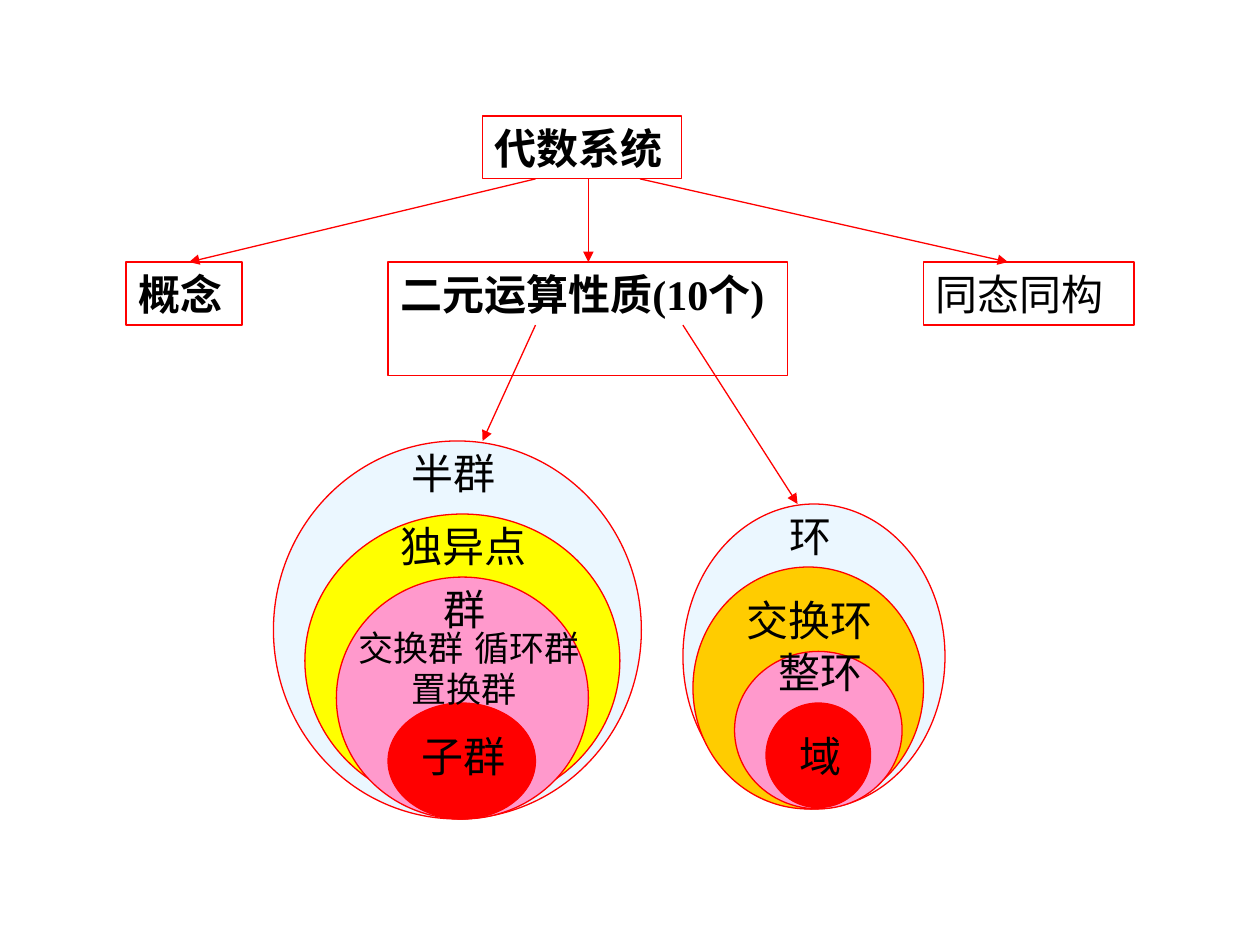
from lxml import etree
from pptx import Presentation
from pptx.dml.color import RGBColor
from pptx.enum.shapes import MSO_CONNECTOR, MSO_SHAPE
from pptx.enum.text import MSO_ANCHOR, MSO_AUTO_SIZE, PP_ALIGN
from pptx.oxml.ns import qn
from pptx.util import Inches, Pt

OVAL, RECT = MSO_SHAPE.OVAL, MSO_SHAPE.RECTANGLE
STRAIGHT = MSO_CONNECTOR.STRAIGHT
TOP, LEFT = MSO_ANCHOR.TOP, PP_ALIGN.LEFT
GROW = MSO_AUTO_SIZE.SHAPE_TO_FIT_TEXT
RED, BLACK, FONT = "FF0000", "000000", "Times New Roman"
HIGH = {24: 0.5, 20: 0.44}

BOXES = [
    ("代数系统", 3.83, 0.92, 1.58, 0.5, True),
    ("概念", 1, 2.08, 0.92, 0.5, True),
    ("二元运算性质(10个)", 3.08, 2.08, 3.17, 0.9, True),
    ("同态同构", 7.33, 2.08, 1.67, 0.5, False),
]
RINGS = [
    (2.17, 3.5, 2.92, 3, "EBF7FF"),
    (2.42, 4.08, 2.5, 2.33, "FFFF00"),
    (2.67, 4.58, 2, 1.92, "FF99CC"),
    (3.08, 5.58, 1.17, 0.92, RED),
    (5.42, 4, 2.08, 2.42, "EBF7FF"),
    (5.5, 4.5, 1.83, 1.92, "FFCC00"),
    (5.83, 5.17, 1.33, 1.25, "FF99CC"),
    (6.08, 5.58, 0.83, 0.83, RED),
]
LABELS = [
    ("半群", 3.17, 3.5, 1.08, 24),
    ("独异点", 3.08, 4.08, 1.42, 24),
    ("群", 3.42, 4.58, 0.83, 24),
    ("交换群", 2.75, 4.92, 1.33, 20),
    ("循环群", 3.67, 4.92, 1.08, 20),
    ("置换群", 3.17, 5.25, 1.08, 20),
    ("子群", 3.25, 5.75, 1, 24),
    ("环", 6.17, 4, 0.67, 24),
    ("交换环", 5.83, 4.67, 1.42, 24),
    ("整环", 6.08, 5.08, 1, 24),
    ("域", 6.25, 5.75, 0.58, 24),
]
ARROWS = [
    (4.67, 1.42, 4.67, 2.08),
    (4.25, 1.42, 1.5, 2.08),
    (5.08, 1.42, 8, 2.08),
    (4.25, 2.58, 3.83, 3.5),
    (5.42, 2.58, 6.33, 4),
]


def paint(fill, tone):
    fill.solid()
    fill.fore_color.rgb = RGBColor.from_string(tone)


def outline(item):
    paint(item.line.fill, RED)
    item.line.width = Pt(0.75)


def put(obj, form):
    for key, value in form.items():
        setattr(obj, key, value)


def write(shape, text, size=24, bold=False):
    frame = shape.text_frame
    frame.text = text
    put(frame, {"word_wrap": True, "auto_size": GROW, "vertical_anchor": TOP})
    para = frame.paragraphs[0]
    put(para, {"alignment": LEFT, "space_before": Pt(size * 0.625)})
    font = para.runs[0].font
    put(font, {"name": FONT, "size": Pt(size), "bold": bold})
    paint(font.fill, BLACK)


def draw(shapes, kind, spot, tone=None):
    shape = shapes.add_shape(kind, *map(Inches, spot))
    shape.shadow.inherit = False
    outline(shape)
    if tone:
        paint(shape.fill, tone)
    else:
        shape.fill.background()
    return shape


def link(shapes, ends):
    line = shapes.add_connector(STRAIGHT, *map(Inches, ends))
    outline(line)
    etree.SubElement(line.line._get_or_add_ln(), qn("a:tailEnd"), type="triangle")
    etree.SubElement(line._element.spPr, qn("a:effectLst"))


def main():
    deck = Presentation()
    put(deck, {"slide_width": Inches(10), "slide_height": Inches(7.5)})
    shapes = deck.slides.add_slide(deck.slide_layouts[6]).shapes
    for text, *spot, bold in BOXES:
        write(draw(shapes, RECT, spot), text, bold=bold)
    for *spot, tone in RINGS:
        draw(shapes, OVAL, spot, tone)
    for text, left, top, wide, size in LABELS:
        spot = left, top, wide, HIGH[size]
        write(shapes.add_textbox(*map(Inches, spot)), text, size)
    for ends in ARROWS:
        link(shapes, ends)
    deck.save("out.pptx")


if __name__ == "__main__":
    main()
